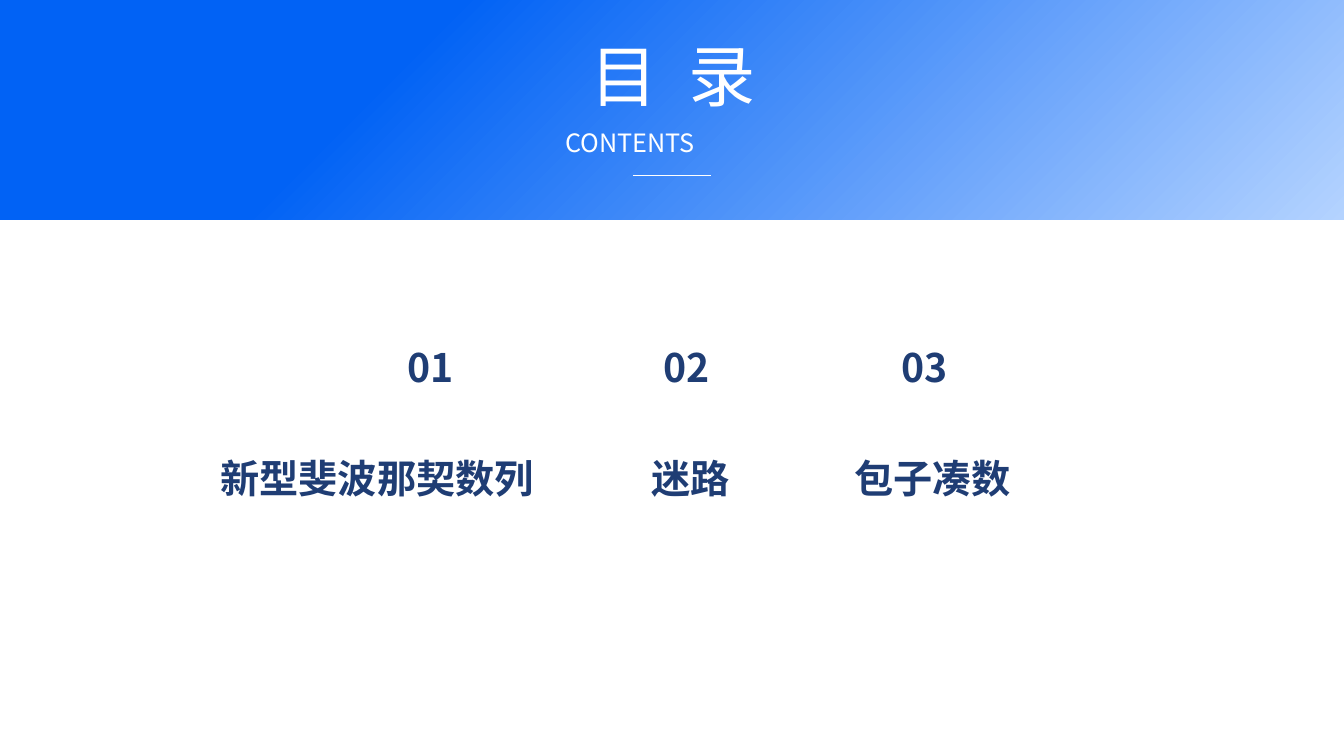
"""Build a contents slide with a gradient header band and three numbered topics."""
from lxml import etree
from pptx import Presentation
from pptx import util as u
from pptx.dml.color import RGBColor
from pptx.enum import shapes, text
from pptx.oxml.ns import qn

WHITE = RGBColor(0xFF, 0xFF, 0xFF)
BLUE = RGBColor(0x01, 0x62, 0xF5)
PALE_BLUE = RGBColor(0xB4, 0xD3, 0xFF)
NAVY = RGBColor(0x1F, 0x3D, 0x74)
FONT = "Noto Sans CJK SC"
SLIDE_WIDTH, SLIDE_HEIGHT = 67.74, 38.1
NUMBER_TOP, NUMBER_WIDTH = 17.17, 4.34
LABEL_TOP, TOPIC_HEIGHT = 22.78, 2.64
TOPICS = [
    ("新型斐波那契数列", 19.53, 9.55, 18.92),
    ("迷路", 32.44, 28.91, 11.79),
    ("包子凑数", 44.42, 41.12, 11.79),
]


def add_text(slide, content, left, top, width, height, *, size,
             color=NAVY, bold=False, align=text.PP_ALIGN.CENTER):
    box = slide.shapes.add_textbox(u.Cm(left), u.Cm(top), u.Cm(width), u.Cm(height))
    frame = box.text_frame
    frame.word_wrap = True
    frame.vertical_anchor = text.MSO_ANCHOR.MIDDLE
    paragraph = frame.paragraphs[0]
    paragraph.alignment = align
    run = paragraph.add_run()
    run.text = content
    font = run.font
    font.name, font.size, font.bold = FONT, u.Pt(size), bold
    font.color.rgb = color
    properties = run._r.get_or_add_rPr()
    etree.SubElement(properties, qn("a:ea")).set("typeface", FONT)


def add_band(slide, top, height):
    band = slide.shapes.add_shape(
        shapes.MSO_SHAPE.ROUNDED_RECTANGLE, 0, u.Cm(top), u.Cm(SLIDE_WIDTH), u.Cm(height))
    band.adjustments[0] = 0
    band.shadow.inherit = False
    band.line.fill.background()
    band.fill.gradient()
    band.fill.gradient_angle = 315
    stops = [(0.3, BLUE), (1, PALE_BLUE)]
    for stop, (position, color) in zip(band.fill.gradient_stops, stops):
        stop.position = position
        stop.color.rgb = color


def add_rule(slide, left, right, top):
    rule = slide.shapes.add_connector(
        shapes.MSO_CONNECTOR.STRAIGHT, u.Cm(left), u.Cm(top), u.Cm(right), u.Cm(top))
    rule.line.color.rgb = WHITE
    rule.line.width = u.Pt(1.75)
    etree.SubElement(rule._element.spPr, qn("a:effectLst"))


def add_topic(slide, number, label, number_left, label_left, label_width):
    add_text(slide, f"{number:02d}", number_left, NUMBER_TOP, NUMBER_WIDTH,
             TOPIC_HEIGHT, size=56, bold=True)
    add_text(slide, label, label_left, LABEL_TOP, label_width,
             TOPIC_HEIGHT, size=56, bold=True)


def main():
    presentation = Presentation()
    presentation.slide_width = u.Cm(SLIDE_WIDTH)
    presentation.slide_height = u.Cm(SLIDE_HEIGHT)
    slide = presentation.slides.add_slide(presentation.slide_layouts[6])
    add_band(slide, -0.58, 11.66)
    add_text(slide, "目  录", 25.98, 1.6, 15.88, 4.37, size=96, color=WHITE)
    add_text(slide, "CONTENTS", 28.24, 6.3, 11.25, 1.8, size=36, color=WHITE,
             align=text.PP_ALIGN.JUSTIFY)
    add_rule(slide, 31.9, 35.84, 8.86)
    for number, topic in enumerate(TOPICS, 1):
        add_topic(slide, number, *topic)
    presentation.save("out.pptx")


main()
